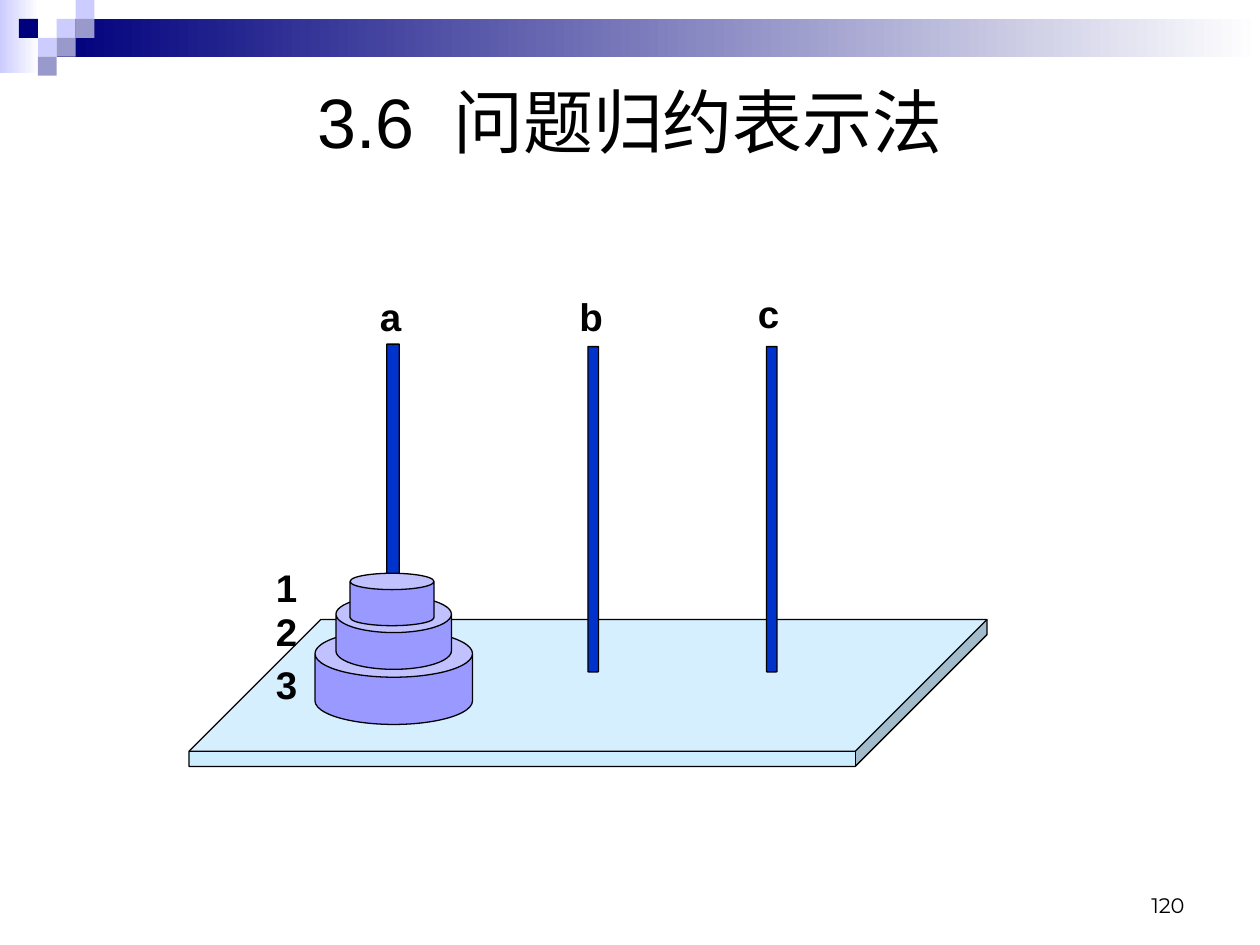
from pptx import Presentation
from pptx.dml.color import RGBColor
from pptx.enum.shapes import MSO_SHAPE as Preset
from pptx.enum.text import MSO_ANCHOR as Anchor, MSO_AUTO_SIZE as AutoSize, PP_ALIGN as Align
from pptx.util import Pt

presentation = Presentation()
presentation.slide_width, presentation.slide_height = Pt(720), Pt(540)
slide = presentation.slides.add_slide(presentation.slide_layouts[6])


def add_shape(preset, box, colors, outlined=False, adjustment=None):
    """Add a preset shape; two colours make a left-to-right gradient."""
    shape = slide.shapes.add_shape(preset, *map(Pt, box))
    shape.shadow.inherit = False
    if adjustment is not None:
        shape.adjustments[0] = adjustment
    if len(colors) == 1:
        shape.fill.solid()
        shape.fill.fore_color.rgb = RGBColor.from_string(colors[0])
    else:
        shape.fill.gradient()
        shape.fill.gradient_angle = 0
        for stop, color in zip(shape.fill.gradient_stops, colors):
            stop.color.rgb = RGBColor.from_string(color)
    if outlined:
        shape.line.color.rgb = RGBColor.from_string("000000")
        shape.line.width = Pt(0.75)
    else:
        shape.line.fill.background()


def add_text(box, pieces, frame_format, font_format, alignment=Align.LEFT):
    """Add a one-paragraph text box; return its runs."""
    frame = slide.shapes.add_textbox(*map(Pt, box)).text_frame
    for name, value in frame_format.items():
        setattr(frame, name, value)
    paragraph = frame.paragraphs[0]
    paragraph.alignment = alignment
    for piece in pieces:
        run = paragraph.add_run()
        run.text = piece
        run.font.color.rgb = RGBColor.from_string("000000")
        for name, value in font_format.items():
            setattr(run.font, name, value)
    return paragraph.runs


# Header: fading bands and a mosaic of small squares
add_shape(Preset.RECTANGLE, (0, 0, 22.3, 41.8), ("CCCCFF", "FFFFFF"))
add_shape(Preset.RECTANGLE, (32.4, 10.8, 687.6, 21.6), ("00007D", "FFFFFF"))
tile = 10.8
mosaic = [
    (3, 1, "CCCCFF"), (4, 0, "CCCCFF"), (4, 1, "9999CC"), (2, 2, "CCCCFF"),
    (1, 1, "00007D"), (3, 2, "9999CC"), (2, 3, "9999CC"),
]
for column, row, color in mosaic:
    add_shape(Preset.RECTANGLE, (column * tile, row * tile, tile, tile), (color,))

# Base board
add_shape(Preset.CUBE, (108, 354, 456, 84), ("CCECFF",), True, 0.897)

# Rods with their letters
label_frame = {"word_wrap": False, "auto_size": AutoSize.SHAPE_TO_FIT_TEXT}
label_font = {"name": "Arial", "size": Pt(22), "bold": True}
rods = [
    ("a", (221, 196.6, 7.2, 205), (210, 164)),
    ("b", (336, 198, 6, 186), (324, 164)),
    ("c", (438, 198, 6, 186), (426, 162)),
]
for letter, rod_box, label_corner in rods:
    add_shape(Preset.CAN, rod_box, ("0033CC",), True, 0.03)
    add_text((*label_corner, 27, 34), [letter], label_frame, label_font)

# Title, with a widened space after the section number
title_frame = {"word_wrap": True, "vertical_anchor": Anchor.MIDDLE}
title_font = {"name": "Arial", "size": Pt(40)}
title_runs = add_text((36, 36, 648, 66), ["3.6", " ", "问题归约表示法"],
                      title_frame, title_font, Align.CENTER)
title_runs[1].font._element.set("spc", "1100")

# Discs with their numbers, largest first
discs = [
    ("3", (180, 360, 90, 54), 0.5, 374.4),
    ("2", (192, 340.5, 66, 42), 0.5, 344),
    ("1", (200, 327.6, 48, 30), 0.312, 319),
]
for number, disc_box, rim, label_top in discs:
    add_shape(Preset.CAN, disc_box, ("9999FF",), True, rim)
    add_text((150.5, label_top, 27, 34), [number], label_frame, label_font)

# Slide number
number_frame = {"word_wrap": True, "vertical_anchor": Anchor.BOTTOM}
number_font = {"name": "Montserrat", "size": Pt(12)}
add_text((516, 492, 168, 36), ["120"], number_frame, number_font, Align.RIGHT)

presentation.save("out.pptx")
